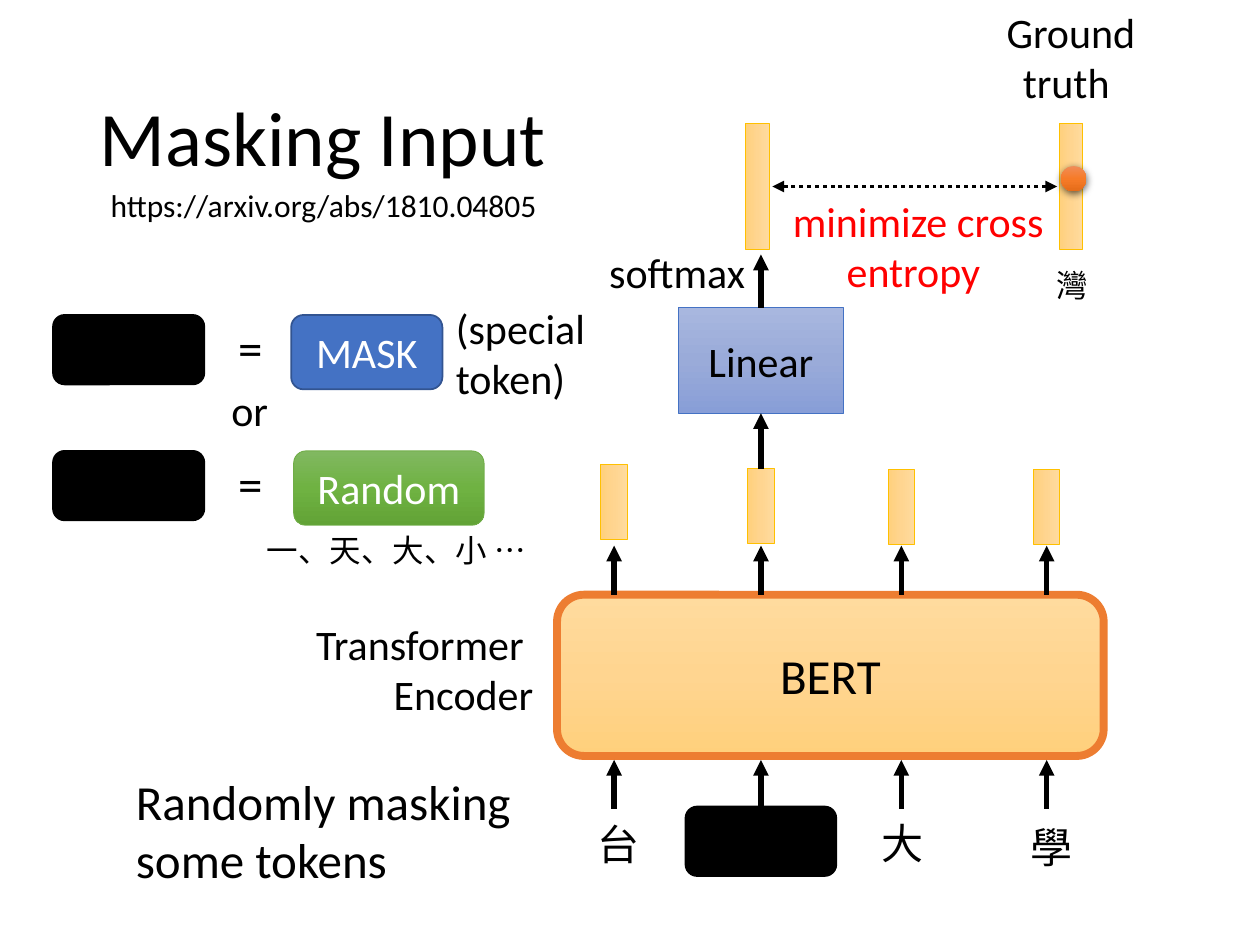
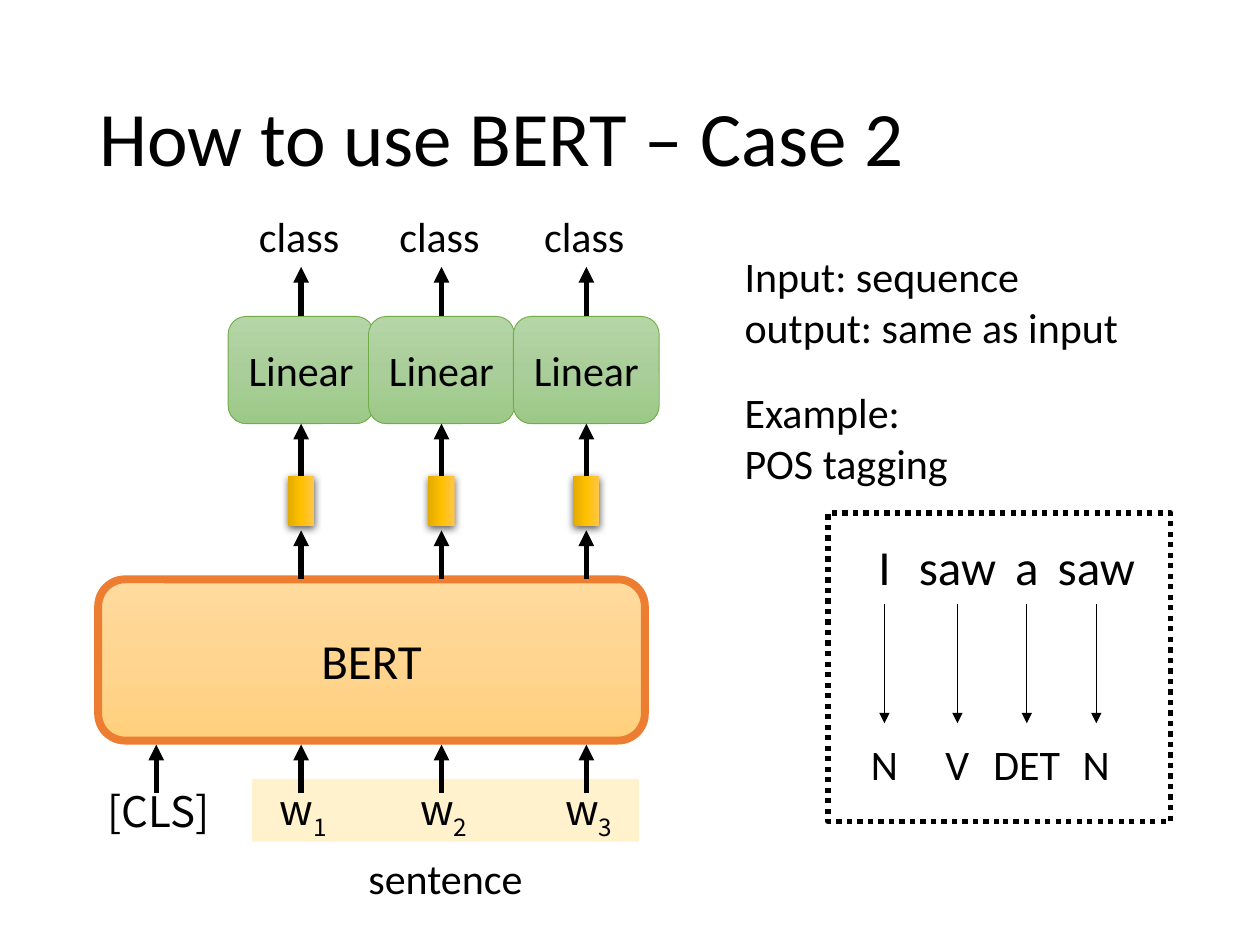
from copy import deepcopy
from dataclasses import dataclass
from typing import NamedTuple, Optional

from lxml.etree import SubElement
from pptx import Presentation
from pptx.dml.color import RGBColor
from pptx.enum.dml import MSO_LINE
from pptx.enum.shapes import MSO_CONNECTOR, MSO_SHAPE
from pptx.enum.text import MSO_ANCHOR, MSO_AUTO_SIZE, PP_ALIGN
from pptx.oxml.ns import qn
from pptx.shapes.autoshape import Shape
from pptx.shapes.connector import Connector
from pptx.slide import Slide
from pptx.text.text import TextFrame
from pptx.util import Cm, Pt

BLACK = RGBColor(0x00, 0x00, 0x00)
WHITE = RGBColor(0xFF, 0xFF, 0xFF)
RED = RGBColor(0xFF, 0x00, 0x00)
ORANGE = RGBColor(0xED, 0x7D, 0x31)
GOLD = RGBColor(0xFF, 0xC0, 0x00)
BLUE = RGBColor(0x44, 0x72, 0xC4)
DARK_BLUE = RGBColor(0x32, 0x54, 0x91)
GREEN = RGBColor(0x70, 0xAD, 0x47)
CREAM = RGBColor(0xFF, 0xF2, 0xCC)
PEACH_FADE = (RGBColor(0xFF, 0xDB, 0x9E), RGBColor(0xFF, 0xD5, 0x90), RGBColor(0xFF, 0xD0, 0x7C))
BLUE_FADE = (RGBColor(0xA8, 0xB7, 0xDF), RGBColor(0x9A, 0xAB, 0xD9), RGBColor(0x88, 0x9E, 0xD7))
GREEN_FADE = (RGBColor(0x81, 0xB8, 0x61), RGBColor(0x6F, 0xB2, 0x42), RGBColor(0x62, 0xA3, 0x36))
PALE_GREEN_FADE = (RGBColor(0xB5, 0xD5, 0xA7), RGBColor(0xAA, 0xCE, 0x9A), RGBColor(0x9C, 0xC9, 0x87))
GOLD_FADE = (RGBColor(0xFF, 0xC6, 0x4B), RGBColor(0xFF, 0xC0, 0x00), RGBColor(0xE3, 0xAB, 0x00))
DOT_FADE = (RGBColor(0xF1, 0x8C, 0x57), RGBColor(0xF6, 0x7B, 0x28), RGBColor(0xE5, 0x6C, 0x19))

LATIN = "Calibri"
CJK = "Noto Sans CJK SC"
DOWNWARD, LEFTWARD = 270, 180
TOP, BOTTOM = 0, 2
BERT_WIDTH, BERT_HEIGHT = 11.02, 3.25
VECTOR_WIDTH = 0.53


class Box(NamedTuple):
    left: float
    top: float
    width: float
    height: float


@dataclass(frozen=True)
class Look:
    fill: Optional[RGBColor] = None
    fade: Optional[tuple] = None
    angle: int = DOWNWARD
    line: Optional[RGBColor] = None
    weight: float = 0.5
    dash: Optional[MSO_LINE] = None
    shadow: bool = False


class Label(NamedTuple):
    content: str
    box: Box
    style: dict = {}


class MaskRow(NamedTuple):
    top: float
    replacement: str
    left: float
    width: float
    look: Look


class TaggedWord(NamedTuple):
    word: str
    tag: str
    center: float


BERT = Look(fade=PEACH_FADE, line=ORANGE, weight=4.5)
VECTOR = Look(fade=PEACH_FADE, angle=LEFTWARD, line=GOLD)
GOLD_VECTOR = Look(fade=GOLD_FADE, angle=LEFTWARD, shadow=True)
DOT = Look(fade=DOT_FADE, shadow=True)
MASKED = Look(fill=BLACK, line=BLACK, weight=1)
BLUE_LINEAR = Look(fade=BLUE_FADE, line=BLUE)
GREEN_LINEAR = Look(fade=PALE_GREEN_FADE, line=GREEN)


def write(frame: TextFrame, content: str, *, size: float = 24, font: str = LATIN,
          color: RGBColor = BLACK, align: PP_ALIGN = PP_ALIGN.CENTER,
          spacing: float = 1.0, subscript: str = "") -> None:
    frame.word_wrap = True
    for index, line in enumerate(content.split("\n")):
        paragraph = frame.add_paragraph() if index else frame.paragraphs[0]
        paragraph.alignment = align
        paragraph.line_spacing = spacing
        for part in filter(None, (line, subscript)):
            run = paragraph.add_run()
            run.text = part
            run.font.size = Pt(size)
            run.font.name = font
            run.font.color.rgb = color
            SubElement(run.font._element, qn("a:ea"), typeface=font)
        if subscript:
            run.font._element.set("baseline", "-25000")


def add_label(slide: Slide, content: str, box: Box, **style) -> None:
    label = slide.shapes.add_textbox(*map(Cm, box))
    write(label.text_frame, content, **style)


def add_centered_label(slide: Slide, content: str, center: float, top: float, **style) -> None:
    add_label(slide, content, Box(center - 1.5, top, 3, 1.27), **style)


def add_block(slide: Slide, kind: MSO_SHAPE, box: Box, look: Look,
              content: str = "", **style) -> Shape:
    block = slide.shapes.add_shape(kind, *map(Cm, box))
    block.shadow.inherit = False
    if look.fade:
        block.fill.gradient()
        block.fill.gradient_angle = look.angle
        stops = block._element.spPr.find(qn("a:gradFill")).find(qn("a:gsLst"))
        stops.insert(1, deepcopy(stops[0]))
        for index, (stop, color) in enumerate(zip(block.fill.gradient_stops, look.fade)):
            stop.position = index / 2
            stop.color.rgb = color
    elif look.fill is not None:
        block.fill.solid()
        block.fill.fore_color.rgb = look.fill
    else:
        block.fill.background()
    if look.line is not None:
        block.line.color.rgb = look.line
        block.line.width = Pt(look.weight)
        if look.dash:
            block.line.dash_style = look.dash
    else:
        block.line.fill.background()
    if look.shadow:
        effects = block._element.spPr.find(qn("a:effectLst"))
        shadow = SubElement(effects, qn("a:outerShdw"), blurRad=str(Pt(4.5)),
                            dist=str(Pt(1.5)), dir="5400000", rotWithShape="0")
        shade = SubElement(shadow, qn("a:srgbClr"), val=str(BLACK))
        SubElement(shade, qn("a:alpha"), val="63000")
    if content:
        block.text_frame.vertical_anchor = MSO_ANCHOR.MIDDLE
        write(block.text_frame, content, **style)
    return block


def add_vector(slide: Slide, center: float, top: float, height: float,
               look: Look, width: float = VECTOR_WIDTH) -> Shape:
    return add_block(slide, MSO_SHAPE.RECTANGLE,
                     Box(center - width / 2, top, width, height), look)


def add_arrow(slide: Slide, start: tuple[float, float], end: tuple[float, float], *,
              weight: float = 3, dash: Optional[MSO_LINE] = None, double: bool = False,
              source: Optional[Shape] = None, target: Optional[Shape] = None) -> Connector:
    arrow = slide.shapes.add_connector(MSO_CONNECTOR.STRAIGHT, *map(Cm, start + end))
    arrow.line.color.rgb = BLACK
    arrow.line.width = Pt(weight)
    if dash:
        arrow.line.dash_style = dash
    outline = arrow._element.spPr.find(qn("a:ln"))
    for tip in ("a:headEnd", "a:tailEnd") if double else ("a:tailEnd",):
        SubElement(outline, qn(tip), type="triangle")
    SubElement(arrow._element.spPr, qn("a:effectLst"))
    if source:
        arrow.begin_connect(source, TOP)
    if target:
        arrow.end_connect(target, BOTTOM)
    return arrow


def add_bert(slide: Slide, left: float, top: float, inputs: tuple[float, ...],
             outputs: tuple[float, ...]) -> list[Connector]:
    add_block(slide, MSO_SHAPE.ROUNDED_RECTANGLE, Box(left, top, BERT_WIDTH, BERT_HEIGHT),
              BERT, "BERT", size=28)
    bottom = top + BERT_HEIGHT
    for center in outputs:
        add_arrow(slide, (center, top), (center, top - 0.99))
    return [add_arrow(slide, (center, bottom + 1.06), (center, bottom + 0.08))
            for center in inputs]


def add_titled_slide(deck: Presentation, heading: str) -> Slide:
    slide = deck.slides.add_slide(deck.slide_layouts[5])
    title = slide.shapes.title
    title.left, title.top, title.width, title.height = map(Cm, (1.75, 1.02, 21.9, 3.68))
    title.text_frame.auto_size = MSO_AUTO_SIZE.NONE
    title.text_frame.vertical_anchor = MSO_ANCHOR.MIDDLE
    write(title.text_frame, heading, size=44, align=PP_ALIGN.LEFT, spacing=0.9)
    return slide


def build_masking(deck: Presentation) -> None:
    slide = add_titled_slide(deck, "Masking Input")
    columns = (12.38, 15.34, 18.17, 21.1)
    masked_center = columns[1]
    input_arrows = add_bert(slide, 11.23, 11.99, columns, columns)
    vectors = [add_vector(slide, center, top, 1.5, VECTOR)
               for center, top in zip(columns, (9.37, 9.45, 9.47, 9.47))]

    masked_token = add_block(slide, MSO_SHAPE.ROUNDED_RECTANGLE,
                             Box(masked_center - 1.52, 16.26, 3.04, 1.4), MASKED)
    input_arrows[1].begin_connect(masked_token, TOP)
    for token, center, top in (("台", 12.46, 16.38), ("大", 18.2, 16.36), ("學", 21.2, 16.43)):
        add_centered_label(slide, token, center, top, font=CJK)

    linear = add_block(slide, MSO_SHAPE.RECTANGLE, Box(masked_center - 1.66, 6.2, 3.32, 2.13),
                       BLUE_LINEAR, "Linear")
    add_arrow(slide, (masked_center, 9.45), (masked_center, 8.33),
              source=vectors[1], target=linear)
    add_arrow(slide, (masked_center, 6.2), (masked_center, 5.13), source=linear)
    for center in (15.27, 21.59):
        add_vector(slide, center, 2.49, 2.54, VECTOR, width=0.48)
    add_block(slide, MSO_SHAPE.OVAL, Box(21.39, 3.35, 0.51, 0.51), DOT)
    add_arrow(slide, (21.31, 3.76), (15.57, 3.76), weight=2.25,
              dash=MSO_LINE.ROUND_DOT, double=True)

    rows = (
        MaskRow(6.35, "MASK", 5.87, 3.05, Look(fill=BLUE, line=DARK_BLUE, weight=1)),
        MaskRow(9.09, "Random", 5.92, 3.84, Look(fade=GREEN_FADE, line=GREEN)),
    )
    for row in rows:
        add_block(slide, MSO_SHAPE.ROUNDED_RECTANGLE, Box(1.07, row.top, 3.05, 1.4), MASKED)
        add_label(slide, "=", Box(3.84, row.top - 0.08, 2.41, 1.45), size=28)
        add_block(slide, MSO_SHAPE.ROUNDED_RECTANGLE, Box(row.left, row.top, row.width, 1.5),
                  row.look, row.replacement, color=WHITE)

    left = {"align": PP_ALIGN.LEFT}
    right = {"align": PP_ALIGN.RIGHT}
    labels = (
        Label("https://arxiv.org/abs/1810.04805", Box(1.98, 3.63, 9.27, 1.02), left | {"size": 18}),
        Label("(special token)", Box(8.94, 5.97, 4.42, 2.31), left),
        Label("or", Box(3.51, 7.62, 3.05, 1.27)),
        Label("一、天、大、小 …", Box(5.13, 10.59, 5.8, 1.02), left | {"size": 18, "font": CJK}),
        Label("Transformer \nEncoder", Box(4.75, 12.34, 6.25, 2.31), right),
        Label("Randomly masking some tokens", Box(2.49, 15.42, 8.1, 2.64), left | {"size": 28}),
        Label("softmax", Box(11.66, 4.85, 3.61, 1.27), right),
        Label("Ground truth ", Box(19.89, 0, 3.4, 2.31)),
        Label("minimize cross entropy ", Box(15.66, 3.81, 5.7, 2.31), {"color": RED}),
        Label("灣", Box(20.19, 5.23, 2.87, 1.02), {"size": 18, "font": CJK}),
    )
    for label in labels:
        add_label(slide, label.content, label.box, **label.style)


def build_case_two(deck: Presentation) -> None:
    slide = add_titled_slide(deck, "How to use BERT – Case 2")
    add_block(slide, MSO_SHAPE.RECTANGLE, Box(5.08, 15.7, 7.8, 1.27), Look(fill=CREAM))
    start_column = 3.15
    word_columns = (6.07, 8.9, 11.82)
    add_bert(slide, 1.98, 11.68, (start_column,) + word_columns, word_columns)
    add_centered_label(slide, "[CLS]", start_column + 0.05, 15.72, font=CJK)

    for number, center in enumerate(word_columns, start=1):
        add_centered_label(slide, "w", center + 0.05, 15.67, font=CJK, subscript=str(number))
        vector = add_vector(slide, center, 9.6, 1, GOLD_VECTOR)
        linear = add_block(slide, MSO_SHAPE.ROUNDED_RECTANGLE,
                           Box(center - 1.47, 6.38, 2.94, 2.16), GREEN_LINEAR, "Linear")
        add_arrow(slide, (center, 9.6), (center, 8.54), source=vector, target=linear)
        add_arrow(slide, (center, 6.38), (center, 5.38), source=linear)
        add_centered_label(slide, "class", center - 0.04, 4.11)
    add_label(slide, "sentence", Box(6.86, 17.07, 4.24, 1.27))

    add_label(slide, "Input: sequence\noutput: same as input", Box(14.76, 4.93, 9.35, 2.31),
              align=PP_ALIGN.LEFT)
    add_label(slide, "Example:\nPOS tagging", Box(14.76, 7.67, 8.99, 2.31), align=PP_ALIGN.LEFT)
    add_block(slide, MSO_SHAPE.RECTANGLE, Box(16.69, 10.34, 6.91, 6.22),
              Look(line=BLACK, weight=3, dash=MSO_LINE.ROUND_DOT))
    tagged_words = (
        TaggedWord("I", "N", 17.83),
        TaggedWord("saw", "V", 19.3),
        TaggedWord("a", "DET", 20.7),
        TaggedWord("saw", "N", 22.1),
    )
    for word, tag, center in tagged_words:
        add_centered_label(slide, word, center, 10.69, size=28)
        add_arrow(slide, (center, 12.17), (center, 14.58), weight=0.5)
        add_centered_label(slide, tag, center, 14.76)


def main() -> None:
    deck = Presentation()
    deck.slide_width, deck.slide_height = Cm(25.4), Cm(19.05)
    build_masking(deck)
    build_case_two(deck)
    deck.save("out.pptx")


if __name__ == "__main__":
    main()
